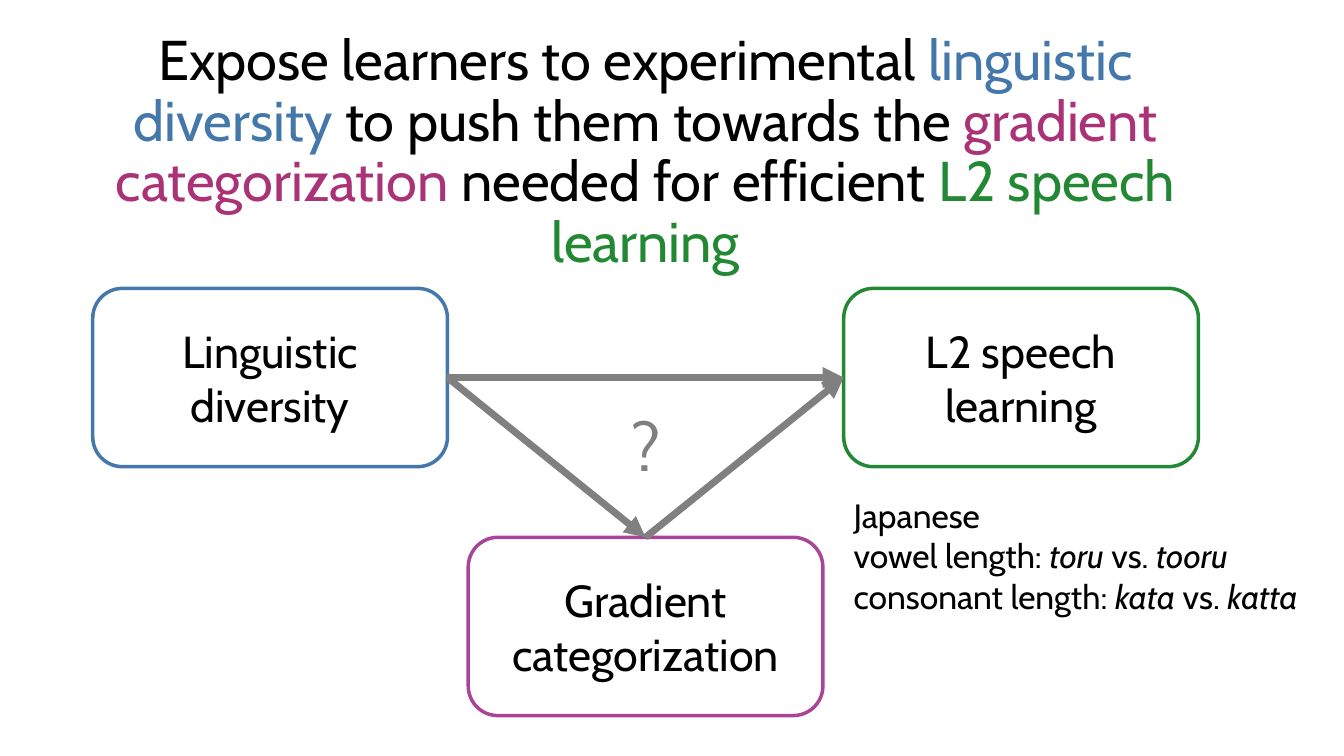
from lxml import etree
from pptx import Presentation
from pptx.dml.color import RGBColor
from pptx.enum.shapes import MSO_CONNECTOR as Line, MSO_SHAPE as Shape
from pptx.enum.text import MSO_ANCHOR as Anchor, MSO_AUTO_SIZE as AutoSize, PP_ALIGN as Align
from pptx.oxml.ns import qn
from pptx.util import Pt

FONT = "Cabin"
BLACK, WHITE, GRAY = "000000", "FFFFFF", "808080"
BLUE, GREEN, PURPLE, MAGENTA = "4477AA", "228833", "AA4499", "AA3377"
BOX_WIDTH, BOX_HEIGHT = 253.4, 127.4
LEFT_X, RIGHT_X = 66.24, 602.64
UPPER_Y, LOWER_Y = 206, 383.8
TOP, LEFT, RIGHT = 0, 1, 3

TITLE = [
    ("Expose learners to experimental ", {}),
    ("linguistic diversity", {"color": BLUE}),
    (" to push them towards the ", {}),
    ("gradient categorization ", {"color": MAGENTA}),
    ("needed for efficient ", {}),
    ("L2 speech learning", {"color": GREEN}),
]
ITALIC = {"italic": True}
EXAMPLES = [
    [("Japanese", {})],
    [("vowel length: ", {}), ("toru", ITALIC), (" vs. ", {}), ("tooru", ITALIC)],
    [("consonant length: ", {}), ("kata", ITALIC), (" vs. ", {}), ("katta", ITALIC)],
]


def paint(color_format, color):
    color_format.rgb = RGBColor.from_string(color)


def write(frame, paragraphs, size, color=BLACK, **para_format):
    """Fill a text frame with paragraphs, each a list of (text, format) spans."""
    for index, spans in enumerate(paragraphs):
        para = frame.add_paragraph() if index else frame.paragraphs[0]
        for name, value in para_format.items():
            setattr(para, name, value)
        for text, span_format in spans:
            span = para.add_run()
            span.text = text
            values = {"name": FONT, "size": Pt(size), **span_format}
            paint(span.font.color, values.pop("color", color))
            for name, value in values.items():
                setattr(span.font, name, value)


def add_title(page):
    title = page.shapes.title
    place = {"left": 33.12, "top": 19.44, "width": 856, "height": 122.4}
    for name, value in place.items():
        setattr(title, name, Pt(value))
    frame = title.text_frame
    frame.auto_size = AutoSize.NONE
    frame.vertical_anchor = Anchor.TOP
    write(frame, [TITLE], 40, alignment=Align.CENTER, line_spacing=0.9)


def add_concept(page, text, left, top, color):
    box = page.shapes.add_shape(
        Shape.ROUNDED_RECTANGLE, Pt(left), Pt(top), Pt(BOX_WIDTH), Pt(BOX_HEIGHT))
    box.shadow.inherit = False
    box.fill.solid()
    paint(box.fill.fore_color, WHITE)
    paint(box.line.color, color)
    box.line.width = Pt(2.5)
    box.text_frame.word_wrap = True
    box.text_frame.vertical_anchor = Anchor.MIDDLE
    write(box.text_frame, [[(text, {})]], 32, alignment=Align.CENTER)
    return box


def add_arrow(page, start, start_side, end, end_side):
    arrow = page.shapes.add_connector(Line.STRAIGHT, 0, 0, 0, 0)
    arrow.begin_connect(start, start_side)
    arrow.end_connect(end, end_side)
    paint(arrow.line.color, GRAY)
    arrow.line.width = Pt(5)
    outline = arrow.line._get_or_add_ln()
    etree.SubElement(outline, qn("a:tailEnd"), type="triangle")
    etree.SubElement(arrow._element.spPr, qn("a:effectLst"))


def add_label(page, paragraphs, left, top, width, height, size, color=BLACK, wrap=True):
    label = page.shapes.add_textbox(Pt(left), Pt(top), Pt(width), Pt(height))
    label.text_frame.word_wrap = wrap
    label.text_frame.auto_size = AutoSize.SHAPE_TO_FIT_TEXT
    write(label.text_frame, paragraphs, size, color)


def main():
    deck = Presentation()
    deck.slide_width, deck.slide_height = Pt(960), Pt(540)
    page = deck.slides.add_slide(deck.slide_layouts[5])
    add_title(page)

    diversity = add_concept(page, "Linguistic diversity", LEFT_X, UPPER_Y, BLUE)
    learning = add_concept(page, "L2 speech learning", RIGHT_X, UPPER_Y, GREEN)
    gradient = add_concept(
        page, "Gradient categorization", (LEFT_X + RIGHT_X) / 2, LOWER_Y, PURPLE)

    add_arrow(page, diversity, RIGHT, learning, LEFT)
    add_arrow(page, diversity, RIGHT, gradient, TOP)
    add_arrow(page, gradient, TOP, learning, LEFT)

    add_label(page, [[("?", {})]], 444.24, 285, 34, 65.5, 48, GRAY)
    add_label(page, EXAMPLES, RIGHT_X, 350, 345, 94.3, 24, wrap=False)
    deck.save("out.pptx")


if __name__ == "__main__":
    main()
